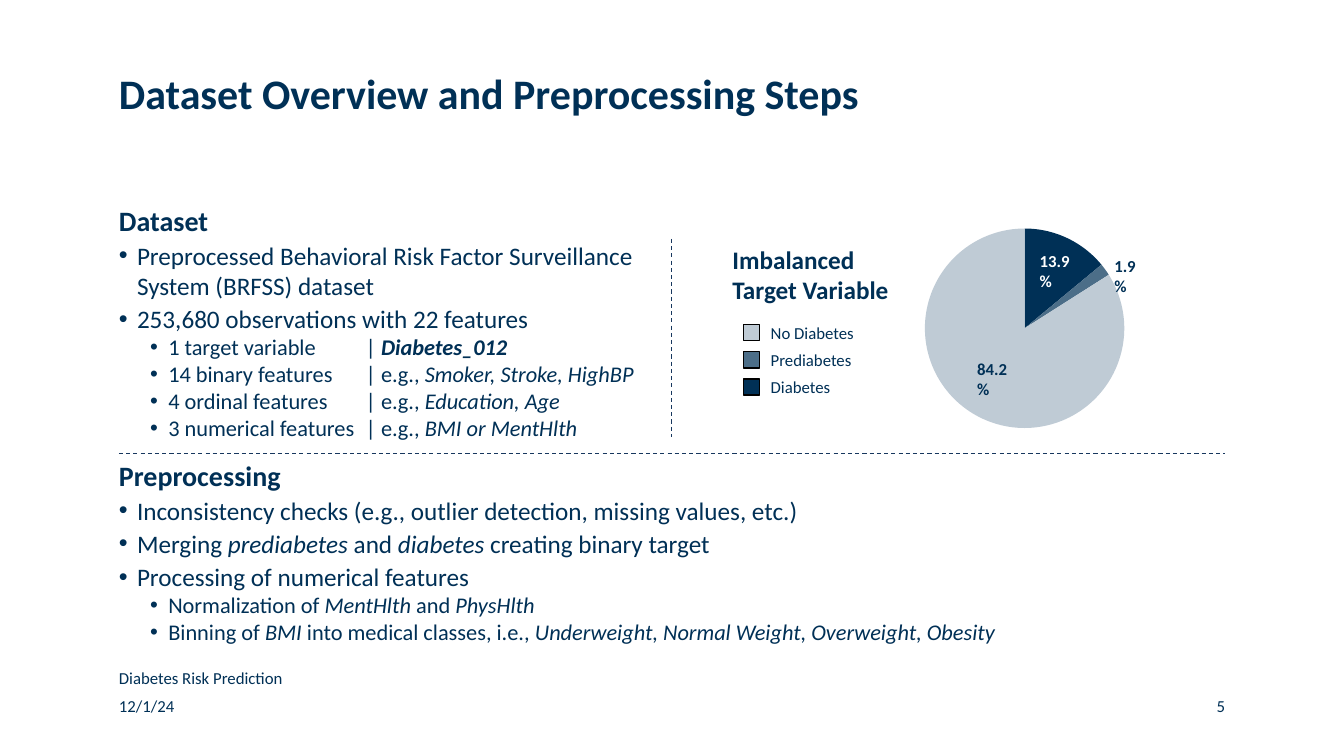
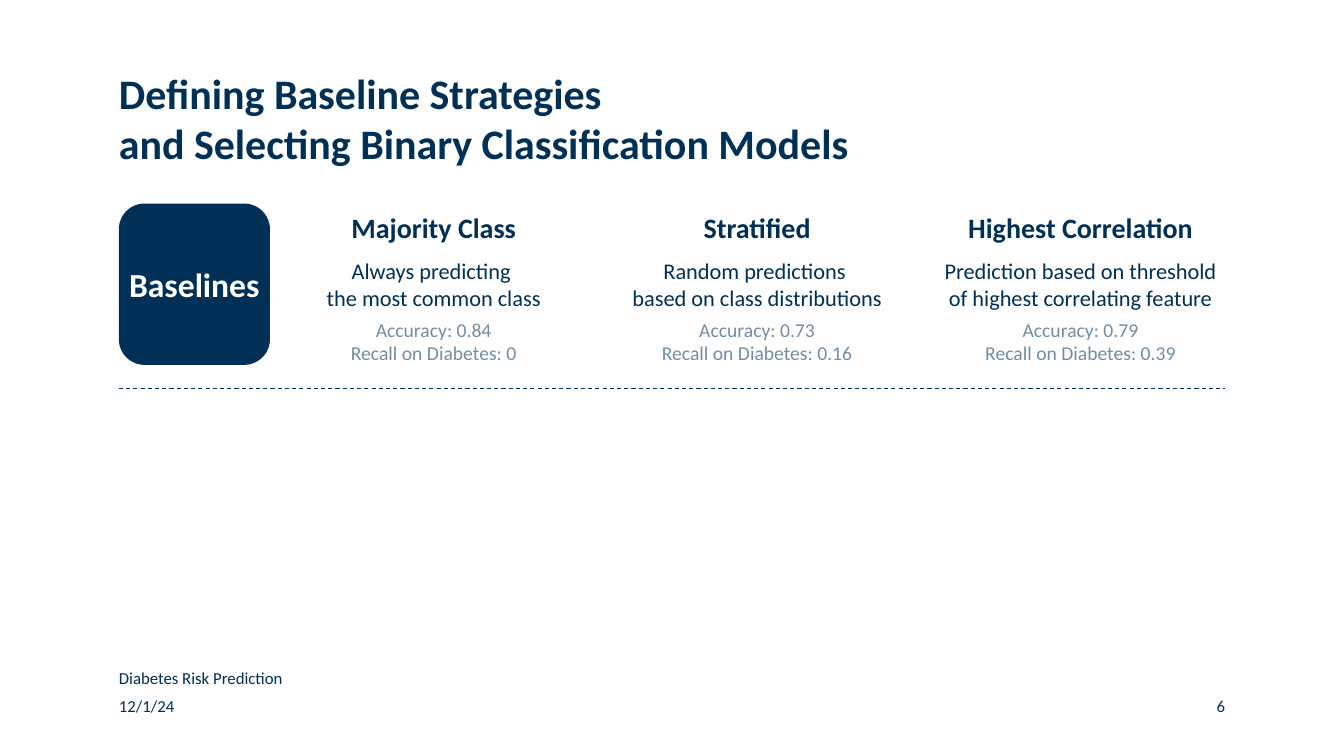
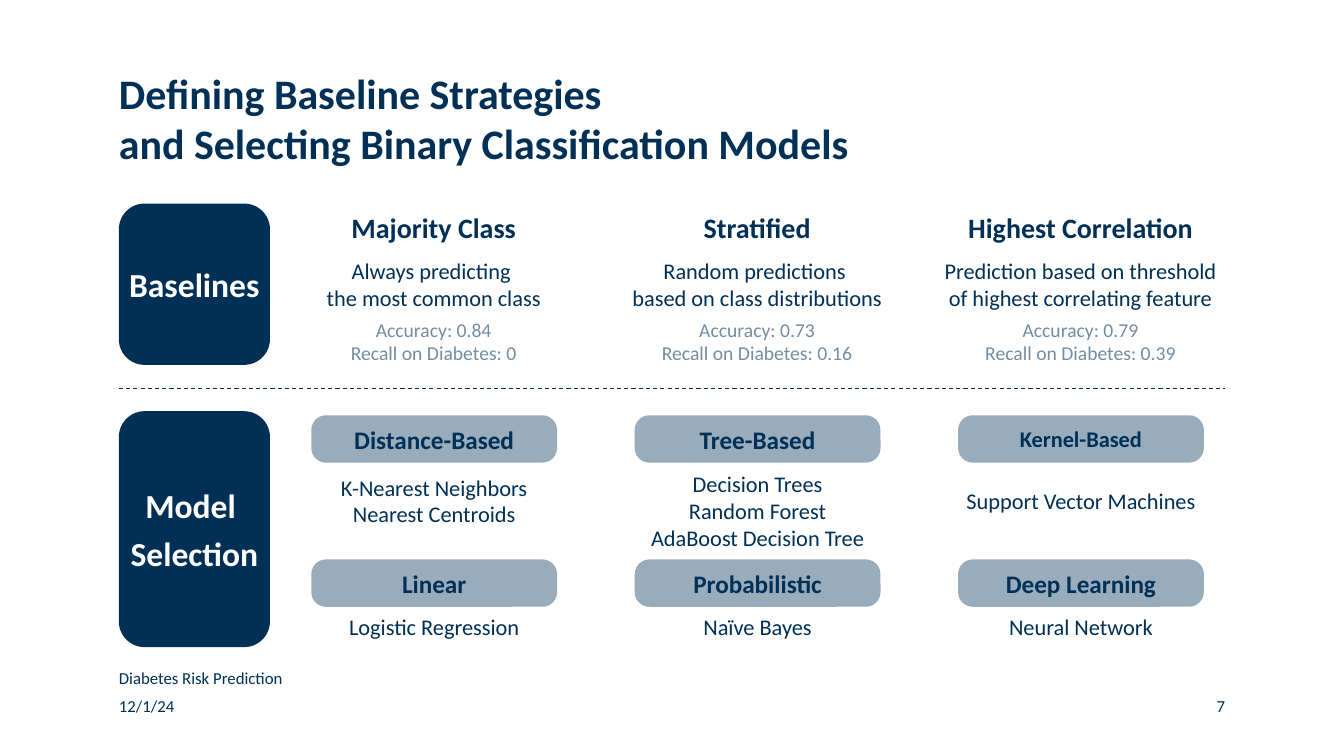
"""Builds three slides on the data, baselines and models of a diabetes risk study."""
from lxml import etree
from pptx import Presentation
from pptx import util as u
from pptx.chart.data import CategoryChartData
from pptx.dml.color import RGBColor
from pptx.enum import chart as ch, dml, shapes, text
from pptx.oxml import parse_xml
from pptx.oxml.ns import nsdecls, qn

PX = 9144
FONT = "Calibri"
NAVY, STEEL, MIST, CARD, GREY, DASH, WHITE, BLACK = (
    "003056", "4C6E88", "BFCBD5", "99ACBB", "738DA2", "17375E", "FFFFFF", "000000")
LEFT, RIGHT, TOP = 118, 1216, 202
PITCH = 321
CENTER, END = text.PP_ALIGN.CENTER, text.PP_ALIGN.RIGHT
MIDDLE = text.MSO_ANCHOR.MIDDLE

TITLES = [
    "Dataset Overview and Preprocessing Steps",
    "Defining Baseline Strategies \vand Selecting Binary Classification Models",
]
FIRST_NUMBER = 5
FOOTERS = [("12/1/24", 690), ("Diabetes Risk Prediction", 662)]

DATASET = [
    (0, [("Dataset", "b")]),
    (1, [("Preprocessed Behavioral Risk Factor Surveillance System (BRFSS) dataset", "")]),
    (1, [("253,680 observations with 22 features", "")]),
    (2, [("1 target variable \t| ", ""), ("Diabetes_012", "bi")]),
    (2, [("14 binary features \t| e.g.,", ""), (" Smoker, Stroke, HighBP", "i")]),
    (2, [("4 ordinal features \t| e.g., ", ""), ("Education, Age", "i")]),
    (2, [("3 numerical features\t| e.g., ", ""), ("BMI or MentHlth", "i")]),
]
PREPROCESSING = [
    (0, [("Preprocessing", "b")]),
    (1, [("Inconsistency checks (e.g., outlier detection, missing values, etc.)", "")]),
    (1, [("Merging ", ""), ("prediabetes ", "i"), ("and ", ""), ("diabetes", "i"),
         (" creating binary target", "")]),
    (1, [("Processing of numerical features", "")]),
    (2, [("Normalization of ", ""), ("MentHlth", "i"), (" and ", ""), ("PhysHlth", "i")]),
    (2, [("Binning of ", ""), ("BMI", "i"), (" into medical classes, i.e., ", ""),
         ("Underweight, Normal Weight, Overweight, Obesity", "i")]),
]
LEVELS = [(20, 0, 0), (18, 2, 18), (16, 0, 49)]
HANG = 18

CLASSES = [("Diabetes", 14, NAVY), ("Prediabetes", 2, STEEL), ("No Diabetes", 84, MIST)]
SHARES = [("84.2%", 970, 356, 36, NAVY), ("1.9%", 1106, 254, 28, NAVY),
          ("13.9%", 1032, 249, 36, WHITE)]

BASELINES = [
    ("Majority Class", "Always predicting \vthe most common class",
     "Accuracy: 0.84\nRecall on Diabetes: 0"),
    ("Stratified", "Random predictions \nbased on class distributions",
     "Accuracy: 0.73\nRecall on Diabetes: 0.16"),
    ("Highest Correlation", "Prediction based on threshold of highest correlating feature",
     "Accuracy: 0.79\nRecall on Diabetes: 0.39"),
]
MODELS = [
    (412, [("Distance-Based", 18, "K-Nearest Neighbors\nNearest Centroids", 75),
           ("Tree-Based", 18, "Decision Trees\nRandom Forest\nAdaBoost Decision Tree", 95),
           ("Kernel-Based", 16, "Support Vector Machines", 75)]),
    (555, [("Linear", 18, "Logistic Regression", 39),
           ("Probabilistic", 18, "Naïve Bayes", 39),
           ("Deep Learning", 18, "Neural Network", 39)]),
]


def rgb(color):
    return RGBColor.from_string(color)


def px(*lengths):
    return [u.Emu(n * PX) for n in lengths]


def add_run(p, words, size, color, style=""):
    r = p.add_run()
    r.text = words
    f = r.font
    f.name, f.size, f.color.rgb = FONT, u.Pt(size), rgb(color)
    f.bold, f.italic = "b" in style, "i" in style


def frame(sp, anchor=text.MSO_ANCHOR.TOP):
    tf = sp.text_frame
    tf.margin_left = tf.margin_right = tf.margin_top = tf.margin_bottom = 0
    tf.word_wrap, tf.auto_size, tf.vertical_anchor = True, text.MSO_AUTO_SIZE.NONE, anchor
    return tf


def write(sp, words, size, color=NAVY, style="", align=text.PP_ALIGN.LEFT,
          anchor=text.MSO_ANCHOR.TOP, before=0):
    tf = frame(sp, anchor)
    for i, line in enumerate(words.split("\n")):
        p = tf.add_paragraph() if i else tf.paragraphs[0]
        p.alignment, p.space_before = align, u.Pt(before)
        for j, part in enumerate(line.split("\v")):
            if j:
                p.add_line_break()
            add_run(p, part, size, color, style)


def label(s, at, words, size, **look):
    write(s.shapes.add_textbox(*px(*at)), words, size, **look)


def block(s, kind, at, fill=None, line=None):
    sp = s.shapes.add_shape(kind, *px(*at))
    sp.shadow.inherit = False
    if fill:
        sp.fill.solid()
        sp.fill.fore_color.rgb = rgb(fill)
    else:
        sp.fill.background()
    if line:
        sp.line.color.rgb, sp.line.width = rgb(line), u.Pt(1)
    else:
        sp.line.fill.background()
    return sp


def rounded(s, at, fill, words, size, color=NAVY, radius=0.0, style="b", before=0):
    sp = block(s, shapes.MSO_SHAPE.ROUNDED_RECTANGLE, at, fill)
    sp.adjustments[0] = radius
    write(sp, words, size, color, style, CENTER, MIDDLE, before)


def dashed(s, ends, color):
    c = s.shapes.add_connector(shapes.MSO_CONNECTOR.STRAIGHT, *px(*ends))
    c.line.color.rgb, c.line.width = rgb(color), u.Pt(0.75)
    c.line.dash_style = dml.MSO_LINE.DASH
    etree.SubElement(c._element.spPr, qn("a:effectLst"))


def place(sp, at):
    sp.left, sp.top, sp.width, sp.height = px(*at)


def bullets(sp, at, rows):
    place(sp, at)
    tf = frame(sp)
    for i, (level, runs) in enumerate(rows):
        size, before, margin = LEVELS[level]
        p = tf.add_paragraph() if i else tf.paragraphs[0]
        p.level, p.space_before = max(level - 1, 0), u.Pt(before)
        pPr = p._p.get_or_add_pPr()
        pPr.set("marL", str(margin * PX))
        pPr.set("indent", str(-HANG * PX if level else 0))
        if level:
            etree.SubElement(pPr, qn("a:buFont")).set("typeface", "Arial")
            etree.SubElement(pPr, qn("a:buChar")).set("char", "•")
        else:
            etree.SubElement(pPr, qn("a:buNone"))
        if level == 2:
            tabs = etree.SubElement(pPr, qn("a:tabLst"))
            etree.SubElement(tabs, qn("a:tab"), pos=str(245 * PX), algn="l")
        for words, style in runs:
            add_run(p, words, size, NAVY, style)


def new_slide(prs, layout, title):
    s = prs.slides.add_slide(prs.slide_layouts.get_by_name(layout))
    place(s.shapes.title, (LEFT, 67, 785, 110))
    write(s.shapes.title, title, 30, style="b")
    for words, y in FOOTERS:
        label(s, (LEFT, y, 422, 20), words, 12)
    number = str(FIRST_NUMBER + len(prs.slides) - 1)
    label(s, (RIGHT - 153, 690, 153, 20), number, 12, align=END)
    return s


def add_pie(s):
    data = CategoryChartData()
    data.categories = [name for name, _, _ in CLASSES]
    data.add_series("Share", [value for _, value, _ in CLASSES])
    chart = s.shapes.add_chart(ch.XL_CHART_TYPE.PIE, *px(895, 211, 244, 225), data).chart
    chart.has_legend = chart.has_title = False
    chart.font.name, chart.font.size, chart.font.color.rgb = FONT, u.Pt(10), rgb(BLACK)
    plot = chart.plots[0]
    plot.vary_by_categories = False
    for i, (_, _, color) in enumerate(CLASSES):
        fmt = plot.series[0].points[i].format
        fmt.fill.solid()
        fmt.fill.fore_color.rgb = rgb(color)
        fmt.line.fill.background()
    area = chart._chartSpace.chart.plotArea
    for old in area.findall(qn("c:layout")):
        area.remove(old)
    sizes = "".join(f'<c:{k} val="{v}"/>' for k, v in
                    [("x", 0.09), ("y", 0.07), ("w", 0.82), ("h", 0.88)])
    area.insert(0, parse_xml(
        f'<c:layout {nsdecls("c")}><c:manualLayout><c:layoutTarget val="inner"/>'
        f'<c:xMode val="edge"/><c:yMode val="edge"/>{sizes}</c:manualLayout></c:layout>'))


def dataset_slide(prs):
    s = new_slide(prs, "Two Content", TITLES[0])
    bullets(s.placeholders[1], (LEFT, TOP, 523, 243), DATASET)
    bullets(s.placeholders[2], (LEFT, 455, RIGHT - LEFT, 187), PREPROCESSING)
    add_pie(s)
    for words, x, y, w, color in SHARES:
        label(s, (x, y, w, 38), words, 12, color=color, style="b")
    label(s, (727, 242, 166, 61), "Imbalanced\nTarget Variable", 18, style="b")
    for i, (name, _, color) in enumerate(reversed(CLASSES)):
        y = 322 + 27 * i
        block(s, shapes.MSO_SHAPE.RECTANGLE, (738, y, 16, 16), color, BLACK)
        label(s, (765, y - 2, 100, 20), name, 12, anchor=MIDDLE)
    dashed(s, (LEFT, 450, RIGHT, 450), DASH)
    dashed(s, (667, 237, 667, 434), DASH)


def baseline_slide(prs):
    s = new_slide(prs, "Title Only", TITLES[1])
    rounded(s, (LEFT, TOP, 150, 160), NAVY, "Baselines", 24, WHITE, 0.17, before=5)
    dashed(s, (LEFT, 385, RIGHT, 385), NAVY)
    for i, (name, rule, scores) in enumerate(BASELINES):
        x = 288 + PITCH * i
        rounded(s, (x, TOP, 285, 47), None, name, 20)
        rounded(s, (x, 249, 285, 66), None, rule, 16, style="")
        label(s, (x, 315, 285, 47), scores, 14, color=GREY, align=CENTER)
    return s


def model_slide(prs):
    s = baseline_slide(prs)
    rounded(s, (LEFT, 408, 150, 234), NAVY, "Model \nSelection", 24, WHITE, 0.17, before=5)
    for y, families in MODELS:
        for i, (family, size, members, h) in enumerate(families):
            x = 309 + PITCH * i
            rounded(s, (x, y, 244, 47), CARD, family, size, radius=0.31)
            rounded(s, (x, y + 47, 244, h), None, members, 16, style="")


def main():
    prs = Presentation()
    prs.slide_width, prs.slide_height = px(1334, 750)
    dataset_slide(prs)
    baseline_slide(prs)
    model_slide(prs)
    prs.save("out.pptx")


if __name__ == "__main__":
    main()
